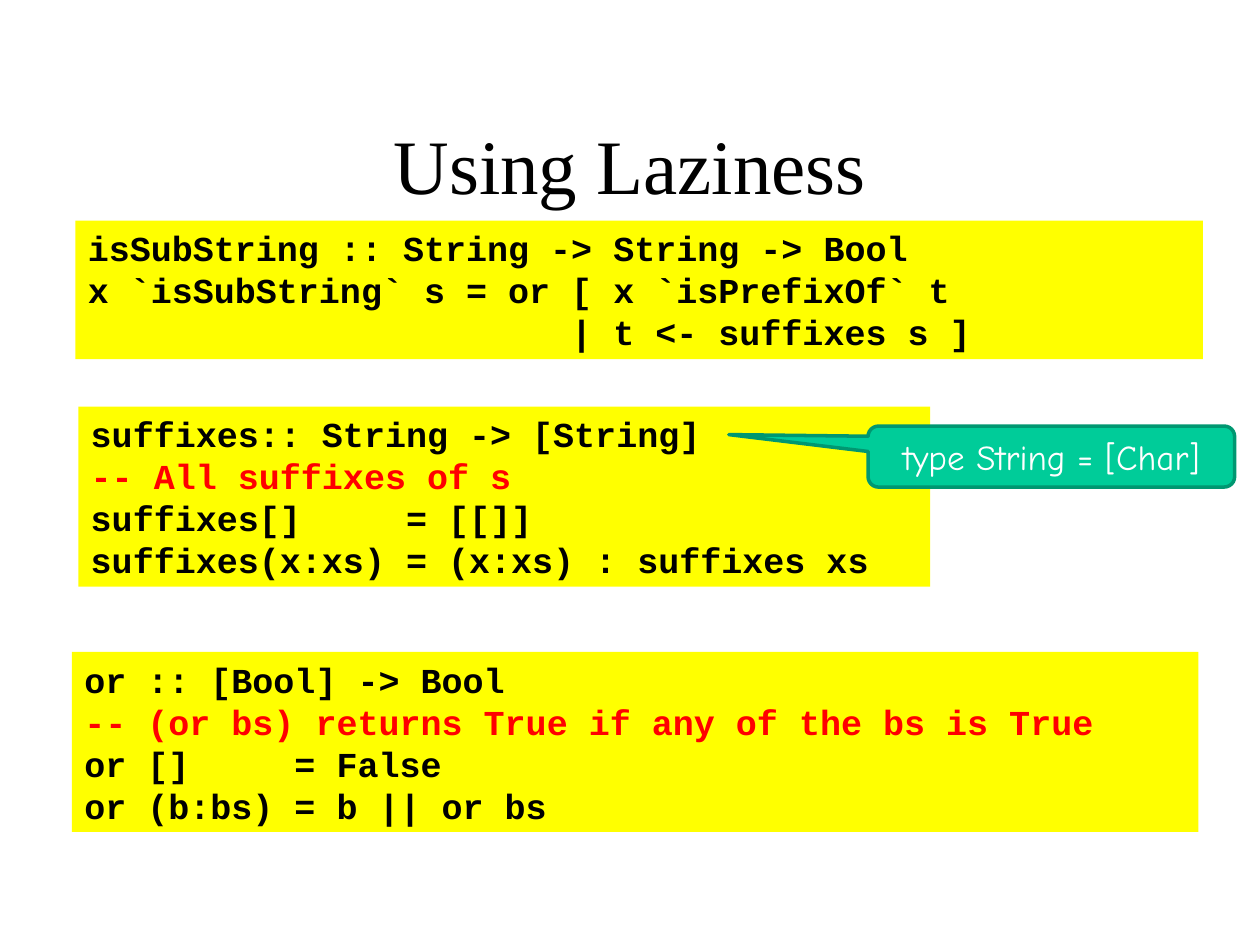
from dataclasses import dataclass

from pptx import Presentation
from pptx.dml.color import RGBColor
from pptx.enum import shapes, text
from pptx.util import Cm, Pt


@dataclass(frozen=True)
class Theme:
    ink: RGBColor = RGBColor(0, 0, 0)
    note: RGBColor = RGBColor(255, 0, 0)
    panel: RGBColor = RGBColor(255, 255, 0)
    bubble: RGBColor = RGBColor(0, 204, 153)
    edge: RGBColor = RGBColor(0, 151, 113)
    light: RGBColor = RGBColor(255, 255, 255)
    serif: str = "Times New Roman"
    mono: str = "Courier New"
    casual: str = "Comic Neue"
    head: int = 44
    body: int = 20


@dataclass(frozen=True)
class Box:
    left: float
    top: float
    width: float
    height: float

    def place(self) -> tuple:
        return tuple(Cm(n) for n in (self.left, self.top, self.width, self.height))


@dataclass(frozen=True)
class Code:
    box: Box
    lines: tuple


THEME = Theme()

CODES = (
    Code(Box(1.52, 4.45, 22.73, 2.79), (
        "isSubString :: String -> String -> Bool",
        "x `isSubString` s = or [ x `isPrefixOf` t",
        "                       | t <- suffixes s ]",
    )),
    Code(Box(1.58, 8.2, 17.17, 3.63), (
        "suffixes:: String -> [String]",
        "-- All suffixes of s",
        "suffixes[]     = [[]]",
        "suffixes(x:xs) = (x:xs) : suffixes xs",
    )),
    Code(Box(1.45, 13.14, 22.71, 3.63), (
        "or :: [Bool] -> Bool",
        "-- (or bs) returns True if any of the bs is True",
        "or []     = False",
        "or (b:bs) = b || or bs",
    )),
)


def style(par, face: str, size: int, tint: RGBColor, bold: bool = False) -> None:
    for run in par.runs:
        run.font.name = face
        run.font.size = Pt(size)
        run.font.color.rgb = tint
        run.font.bold = bold


def draw_title(slide, words: str, box: Box) -> None:
    title = slide.shapes.title
    title.left, title.top, title.width, title.height = box.place()
    frame = title.text_frame
    frame.text = words
    frame.vertical_anchor = text.MSO_ANCHOR.MIDDLE
    par = frame.paragraphs[0]
    par.alignment = text.PP_ALIGN.CENTER
    style(par, THEME.serif, THEME.head, THEME.ink)


def draw_shape(slide, kind, box: Box, fill: RGBColor):
    shape = slide.shapes.add_shape(kind, *box.place())
    shape.shadow.inherit = False
    shape.fill.solid()
    shape.fill.fore_color.rgb = fill
    shape.text_frame.word_wrap = True
    return shape


def draw_code(slide, code: Code) -> None:
    panel = draw_shape(slide, shapes.MSO_SHAPE.RECTANGLE, code.box, THEME.panel)
    panel.line.fill.background()
    frame = panel.text_frame
    frame.vertical_anchor = text.MSO_ANCHOR.TOP
    frame.text = "\n".join(code.lines)
    for par in frame.paragraphs:
        par.alignment = text.PP_ALIGN.LEFT
        tint = THEME.note if par.text.startswith("--") else THEME.ink
        style(par, THEME.mono, THEME.body, tint, True)


def draw_callout(slide, words: str, box: Box) -> None:
    kind = shapes.MSO_SHAPE.ROUNDED_RECTANGULAR_CALLOUT
    bubble = draw_shape(slide, kind, box, THEME.bubble)
    for i, value in enumerate((-0.88, -0.36, 0.17)):
        bubble.adjustments[i] = value
    bubble.line.color.rgb = THEME.edge
    bubble.line.width = Pt(2)
    frame = bubble.text_frame
    frame.vertical_anchor = text.MSO_ANCHOR.MIDDLE
    frame.text = words
    par = frame.paragraphs[0]
    par.alignment = text.PP_ALIGN.CENTER
    style(par, THEME.casual, THEME.body, THEME.light)


def main() -> None:
    deck = Presentation()
    deck.slide_width, deck.slide_height = Cm(25.4), Cm(19.05)
    slide = deck.slides.add_slide(deck.slide_layouts[5])
    draw_title(slide, "Using Laziness", Box(1.9, 1.7, 21.6, 3.18))
    for code in CODES:
        draw_code(slide, code)
    draw_callout(slide, "type String = [Char]", Box(17.5, 8.59, 7.39, 1.23))
    deck.save("out.pptx")


if __name__ == "__main__":
    main()
